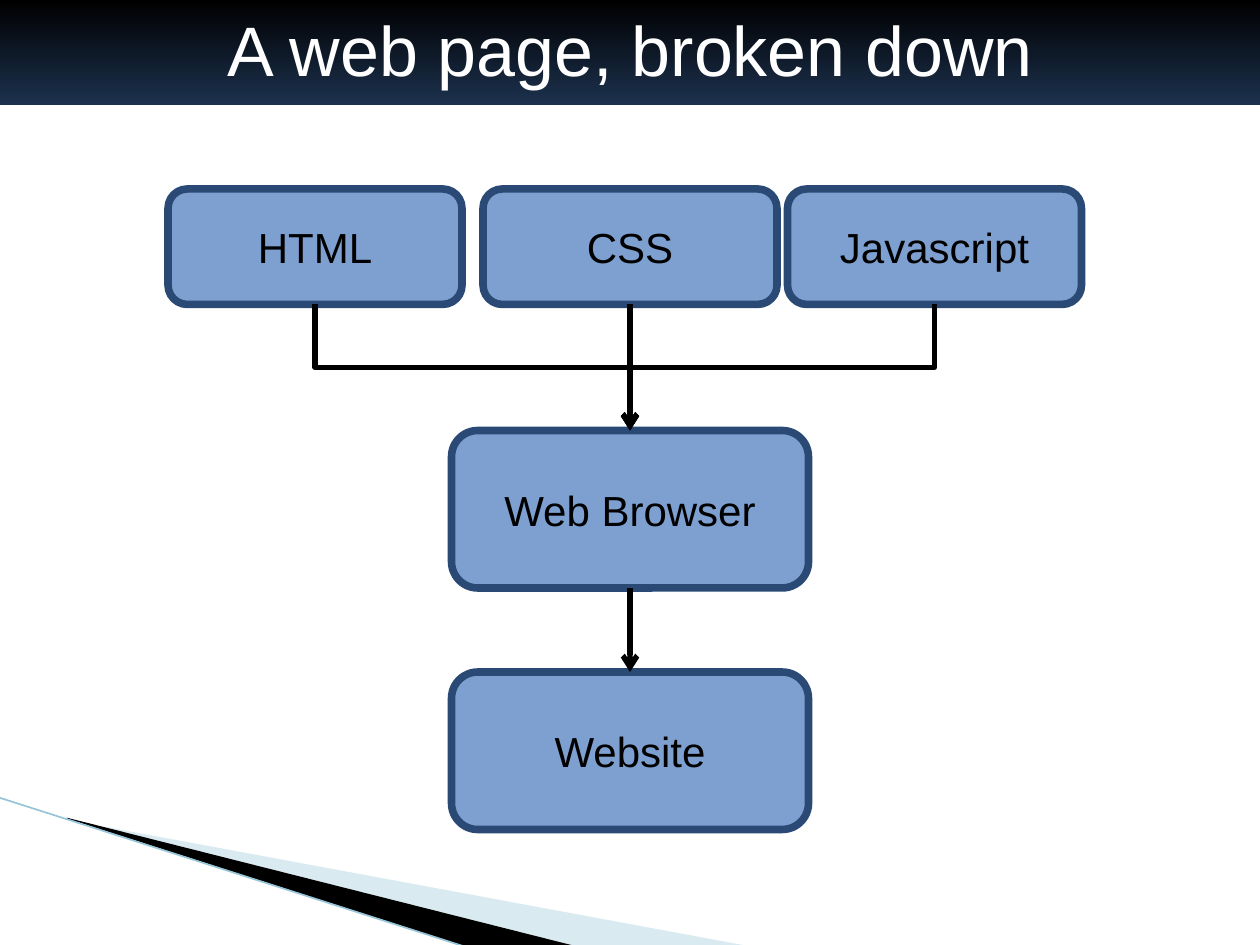
import dataclasses

import lxml.etree
import pptx
import pptx.dml.color
import pptx.enum.shapes
import pptx.enum.text
import pptx.oxml.ns
import pptx.util

Pt = pptx.util.Pt
qn = pptx.oxml.ns.qn
CONNECTOR = pptx.enum.shapes.MSO_CONNECTOR


@dataclasses.dataclass(frozen=True)
class Theme:
    font: str = "Arial"
    title_size: float = 40
    label_size: float = 24
    title_text: str = "FFFFFF"
    label_text: str = "000000"
    band_top: str = "000000"
    band_bottom: str = "1C314E"
    box_fill: str = "7DA0D0"
    box_line: str = "2A4974"
    box_line_width: float = 4.33
    arrow: str = "000000"
    arrow_width: float = 3
    pale_wedge: str = "A0CBDC"
    dark_wedge: str = "000000"
    edge: str = "97C5D8"
    edge_width: float = 0.95


@dataclasses.dataclass(frozen=True)
class Box:
    left: float
    top: float
    width: float
    height: float

    @property
    def center(self):
        return self.left + self.width / 2

    @property
    def bottom(self):
        return self.top + self.height

    def points(self):
        return [Pt(value) for value in (self.left, self.top, self.width, self.height)]


THEME = Theme()


def color(value):
    return pptx.dml.color.RGBColor.from_string(value)


def write(shape, text, size, text_color):
    paragraph = shape.text_frame.paragraphs[0]
    paragraph.alignment = pptx.enum.text.PP_ALIGN.CENTER
    run = paragraph.add_run()
    run.text = text
    run.font.name = THEME.font
    run.font.size = Pt(size)
    run.font.color.rgb = color(text_color)


def style_line(connector, line_color, width):
    connector.line.color.rgb = color(line_color)
    connector.line.width = Pt(width)
    lxml.etree.SubElement(connector._element.spPr, qn("a:effectLst"))


def add_wedge(slide, box, corners, fill, opacity=None):
    vertices = [(Pt(box.left + x), Pt(box.top + y)) for x, y in corners]
    builder = slide.shapes.build_freeform(*vertices[0])
    builder.add_line_segments(vertices[1:], close=True)
    shape = builder.convert_to_shape()
    shape.shadow.inherit = False
    shape.fill.solid()
    shape.fill.fore_color.rgb = color(fill)
    shape.line.fill.background()
    if opacity is not None:
        fill_color = shape._element.spPr.find(".//" + qn("a:srgbClr"))
        alpha = lxml.etree.SubElement(fill_color, qn("a:alpha"))
        alpha.set("val", str(opacity * 1000))


def add_corner_decoration(slide, box):
    add_wedge(slide, box, [(39.6, 13), (428.4, 85), (328.3, 85), (39.6, 12.3)],
              THEME.pale_wedge, opacity=40)
    add_wedge(slide, box, [(38.2, 11.6), (329, 85), (267.8, 85.7), (38.9, 12.3)],
              THEME.dark_wedge)
    edge = slide.shapes.add_connector(
        CONNECTOR.STRAIGHT, Pt(box.left - 0.7), Pt(box.top),
        Pt(box.left + 267.1), Pt(box.bottom))
    style_line(edge, THEME.edge, THEME.edge_width)


def add_title_band(slide, box, text):
    title = slide.shapes.title
    title.left, title.top, title.width, title.height = box.points()
    title.fill.gradient()
    title.fill.gradient_angle = 270
    for stop, value in zip(title.fill.gradient_stops, (THEME.band_top, THEME.band_bottom)):
        stop.color.rgb = color(value)
    frame = title.text_frame
    frame.word_wrap = True
    frame.auto_size = pptx.enum.text.MSO_AUTO_SIZE.SHAPE_TO_FIT_TEXT
    frame.vertical_anchor = pptx.enum.text.MSO_ANCHOR.TOP
    write(title, text, THEME.title_size, THEME.title_text)


def add_node(slide, box, text):
    node = slide.shapes.add_shape(
        pptx.enum.shapes.MSO_SHAPE.ROUNDED_RECTANGLE, *box.points())
    node.shadow.inherit = False
    node.fill.solid()
    node.fill.fore_color.rgb = color(THEME.box_fill)
    node.line.color.rgb = color(THEME.box_line)
    node.line.width = Pt(THEME.box_line_width)
    node.text_frame.word_wrap = True
    node.text_frame.vertical_anchor = pptx.enum.text.MSO_ANCHOR.MIDDLE
    write(node, text, THEME.label_size, THEME.label_text)


def add_arrow(slide, source, target):
    drop = target.top - source.bottom
    shift = target.center - source.center
    if abs(shift) < 1:
        arrow = slide.shapes.add_connector(
            CONNECTOR.STRAIGHT, Pt(source.center), Pt(source.bottom),
            Pt(target.center), Pt(target.top))
    else:
        middle_x = (source.center + target.center) / 2
        middle_y = (source.bottom + target.top) / 2
        half = drop / 2 if shift > 0 else -drop / 2
        arrow = slide.shapes.add_connector(
            CONNECTOR.ELBOW, Pt(middle_x + half), Pt(middle_y - abs(shift) / 2),
            Pt(middle_x - half), Pt(middle_y + abs(shift) / 2))
        angle = 270 if shift > 0 else 90
        arrow._element.spPr.find(qn("a:xfrm")).set("rot", str(angle * 60000))
    style_line(arrow, THEME.arrow, THEME.arrow_width)
    tail = lxml.etree.SubElement(arrow.line._get_or_add_ln(), qn("a:tailEnd"))
    tail.set("type", "arrow")


def add_flow(slide, box):
    sources = [(Box(box.left + offset, box.top, 168, 66), text)
               for offset, text in ((0, "HTML"), (180, "CSS"), (354, "Javascript"))]
    browser = Box(box.left + 162, box.top + 138, 204, 90)
    website = Box(browser.left, browser.bottom + 48, 204, 90)
    for node, text in sources + [(browser, "Web Browser"), (website, "Website")]:
        add_node(slide, node, text)
    for source, text in sources:
        add_arrow(slide, source, browser)
    add_arrow(slide, browser, website)


def main():
    presentation = pptx.Presentation()
    presentation.slide_width = Pt(720)
    presentation.slide_height = Pt(540)
    slide = presentation.slides.add_slide(presentation.slide_layouts[5])
    add_corner_decoration(slide, Box(0, 455.7, 429, 85.7))
    add_title_band(slide, Box(0, 0, 720, 55.4), "A web page, broken down")
    add_flow(slide, Box(96, 108, 522, 366))
    presentation.save("out.pptx")


main()
